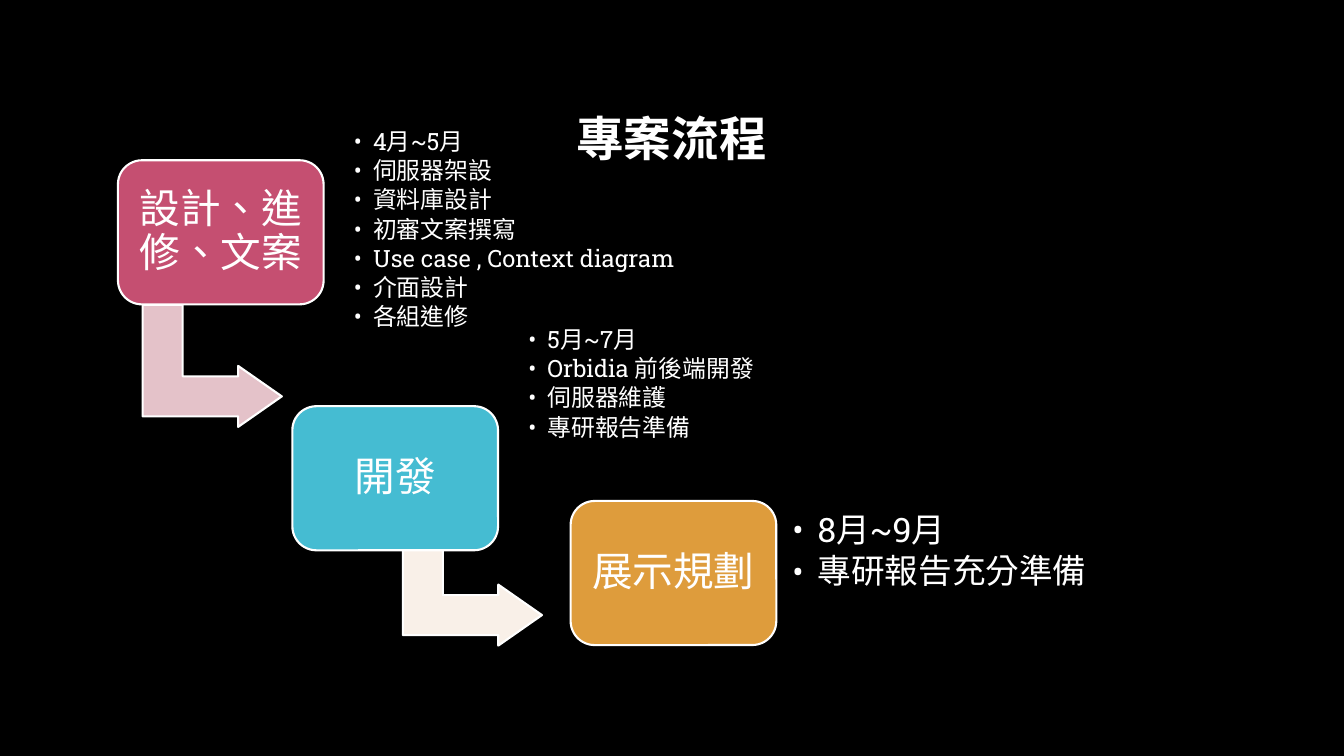
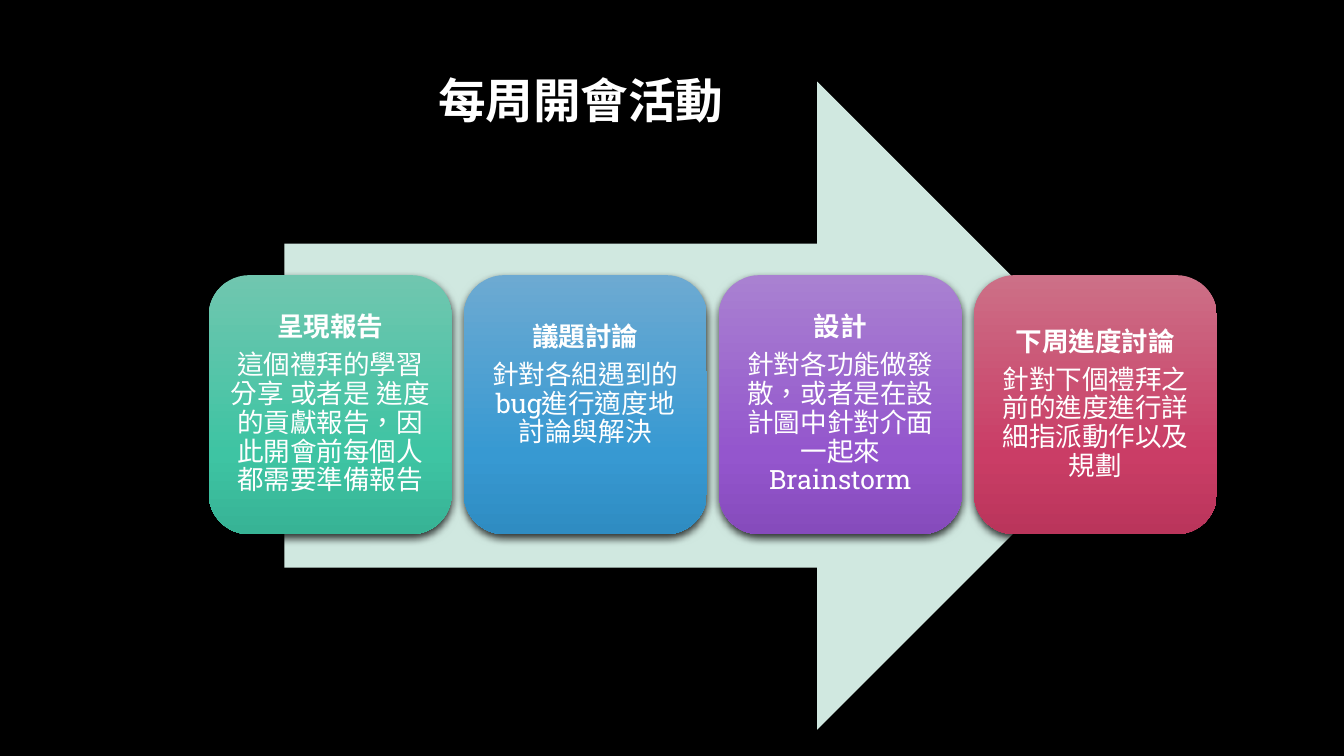
from copy import deepcopy

from lxml import etree
from pptx import Presentation
from pptx.dml.color import RGBColor
from pptx.enum.shapes import MSO_SHAPE
from pptx.enum.text import MSO_ANCHOR, PP_ALIGN
from pptx.oxml.ns import qn
from pptx.util import Inches, Pt

ROUND = MSO_SHAPE.ROUNDED_RECTANGLE
BENT = MSO_SHAPE.BENT_UP_ARROW
RIGHT = MSO_SHAPE.RIGHT_ARROW
MIDDLE = MSO_ANCHOR.MIDDLE
LEFT = PP_ALIGN.LEFT
CENTER = PP_ALIGN.CENTER

FONT = "Roboto Slab"
BLACK = RGBColor(0x00, 0x00, 0x00)
WHITE = RGBColor(0xFF, 0xFF, 0xFF)
ROSE = RGBColor(0xC5, 0x4F, 0x71)
PINK = RGBColor(0xE4, 0xC2, 0xC9)
CYAN = RGBColor(0x45, 0xBC, 0xD2)
CREAM = RGBColor(0xF9, 0xF0, 0xE8)
AMBER = RGBColor(0xDE, 0x9C, 0x3C)
MINT = RGBColor(0xD0, 0xE8, 0xE0)
GREEN = [RGBColor(0x70, 0xC6, 0xAF), RGBColor(0x3E, 0xC4, 0xA3), RGBColor(0x37, 0xB3, 0x95)]
BLUE = [RGBColor(0x6D, 0xAA, 0xD2), RGBColor(0x37, 0x99, 0xD2), RGBColor(0x2F, 0x8C, 0xC2)]
PURPLE = [RGBColor(0xA9, 0x81, 0xD1), RGBColor(0x94, 0x56, 0xCD), RGBColor(0x86, 0x4B, 0xBC)]
RED = [RGBColor(0xCC, 0x70, 0x87), RGBColor(0xCA, 0x3D, 0x66), RGBColor(0xBA, 0x35, 0x5B)]
STOPS = [0, 0.69, 1]

STEPS = [
    ("設計、進修、文案", ROSE, 1.17, 1.59),
    ("開發", CYAN, 2.9, 4.03),
    ("展示規劃", AMBER, 5.66, 4.97),
]
BENDS = [(PINK, 1.5, 2.94), (CREAM, 4.08, 5.11)]
LISTS = [
    (["4月~5月", "伺服器架設", "資料庫設計", "初審文案撰寫",
      "Use case , Context diagram", "介面設計", "各組進修"],
     (3.42, 0.96, 5.82, 2.65), 17, 0.09, 0.19),
    (["5月~7月", "Orbidia 前後端開發", "伺服器維護", "專研報告準備"],
     (5.15, 3.1, 4.76, 1.43), 17, 0.09, 0.19),
    (["8月~9月", "專研報告充分準備"],
     (7.73, 4.9, 3.19, 1.16), 24, 0.13, 0.25),
]
CARDS = [
    ("呈現報告", "這個禮拜的學習分享 或者是 進度的貢獻報告，因此開會前每個人都需要準備報告", GREEN, 0.08),
    ("議題討論", "針對各組遇到的bug進行適度地討論與解決", BLUE, 0.46),
    ("設計", "針對各功能做發散，或者是在設計圖中針對介面一起來Brainstorm", PURPLE, 0.08),
    ("下周進度討論", "針對下個禮拜之前的進度進行詳細指派動作以及規劃", RED, 0.08),
]


def add_bullet(para, indent):
    props = para._p.get_or_add_pPr()
    props.set("marL", str(Inches(indent)))
    props.set("indent", str(-Inches(indent)))
    etree.SubElement(props, qn("a:buFont"), typeface=FONT)
    etree.SubElement(props, qn("a:buChar"), char="•")


def set_text(shape, lines, size, bold=(False,), align=CENTER, after=0,
             pad=None, base=None, indent=None):
    frame = shape.text_frame
    frame.word_wrap = True
    frame.vertical_anchor = MIDDLE
    if pad is not None:
        frame.margin_left = frame.margin_right = frame.margin_top = Inches(pad)
        frame.margin_bottom = Inches(pad if base is None else base)
    for i, line in enumerate(lines):
        para = frame.paragraphs[0] if i == 0 else frame.add_paragraph()
        para.alignment = align
        para.line_spacing = 0.9
        para.space_after = Pt(round(size * after, 2))
        if indent:
            add_bullet(para, indent)
        run = para.add_run()
        run.text = line
        font = run.font
        font.name = FONT
        font.size = Pt(size)
        font.bold = bold[i % len(bold)]
        font.color.rgb = WHITE
        props = run._r.get_or_add_rPr()
        props.set("lang", "zh-TW")
        etree.SubElement(props, qn("a:ea"), typeface=FONT)


def add_box(slide, box):
    return slide.shapes.add_textbox(*map(Inches, box))


def add_form(slide, kind, box, fill=None, edge=None):
    shape = slide.shapes.add_shape(kind, *map(Inches, box))
    shape.shadow.inherit = False
    if fill is not None:
        shape.fill.solid()
        shape.fill.fore_color.rgb = fill
    if edge is None:
        shape.line.fill.background()
    else:
        shape.line.color.rgb = edge
        shape.line.width = Pt(1.5)
    return shape


def add_blend(shape, tones):
    fill = shape.fill
    fill.gradient()
    fill.gradient_angle = 270
    stops = shape._element.spPr.find(".//" + qn("a:gsLst"))
    stops.append(deepcopy(stops[0]))
    for stop, place, tone in zip(fill.gradient_stops, STOPS, tones):
        stop.position = place
        stop.color.rgb = tone


def add_shade(shape):
    effects = shape._element.spPr.find(qn("a:effectLst"))
    shade = etree.SubElement(effects, qn("a:outerShdw"), blurRad=str(Pt(6)),
                             dist=str(Pt(3)), dir="5400000", rotWithShape="0")
    tone = etree.SubElement(shade, qn("a:srgbClr"), val=str(BLACK))
    etree.SubElement(tone, qn("a:alpha"), val="76000")


def add_slide(deck, title, left, top):
    slide = deck.slides.add_slide(deck.slide_layouts[6])
    slide.background.fill.solid()
    slide.background.fill.fore_color.rgb = BLACK
    set_text(add_box(slide, (left, top, 11.32, 1.45)), [title], 34, bold=(True,))
    return slide


def add_bend(slide, fill, left, top):
    bend = add_form(slide, BENT, (left, top, 1.21, 1.38), fill, WHITE)
    bend.rotation = 90
    for i, value in enumerate((0.328, 0.25, 0.358)):
        bend.adjustments[i] = value


def add_step(slide, label, fill, left, top):
    step = add_form(slide, ROUND, (left, top, 2.04, 1.43), fill, WHITE)
    set_text(step, [label], 29, after=0.35, pad=0.12)


def add_card(slide, left, head, body, tones, base):
    card = add_form(slide, ROUND, (left, 2.73, 2.41, 2.57))
    add_blend(card, tones)
    add_shade(card)
    set_text(card, [head, body], 19, bold=(True, False), after=0.35, pad=0.08, base=base)


def build_flow(deck):
    slide = add_slide(deck, "專案流程", 1, 0.67)
    for bend in BENDS:
        add_bend(slide, *bend)
    for step in STEPS:
        add_step(slide, *step)
    for lines, box, size, pad, indent in LISTS:
        set_text(add_box(slide, box), lines, size, align=LEFT, after=0.15,
                 pad=pad, indent=indent)


def build_week(deck):
    slide = add_slide(deck, "每周開會活動", 0.1, 0.3)
    add_form(slide, RIGHT, (2.82, 0.81, 8.5, 6.43), MINT)
    for i, card in enumerate(CARDS):
        add_card(slide, 2.07 + 2.53 * i, *card)


def main():
    deck = Presentation()
    deck.slide_width = Inches(13.33)
    deck.slide_height = Inches(7.5)
    build_flow(deck)
    build_week(deck)
    deck.save("out.pptx")


if __name__ == "__main__":
    main()
